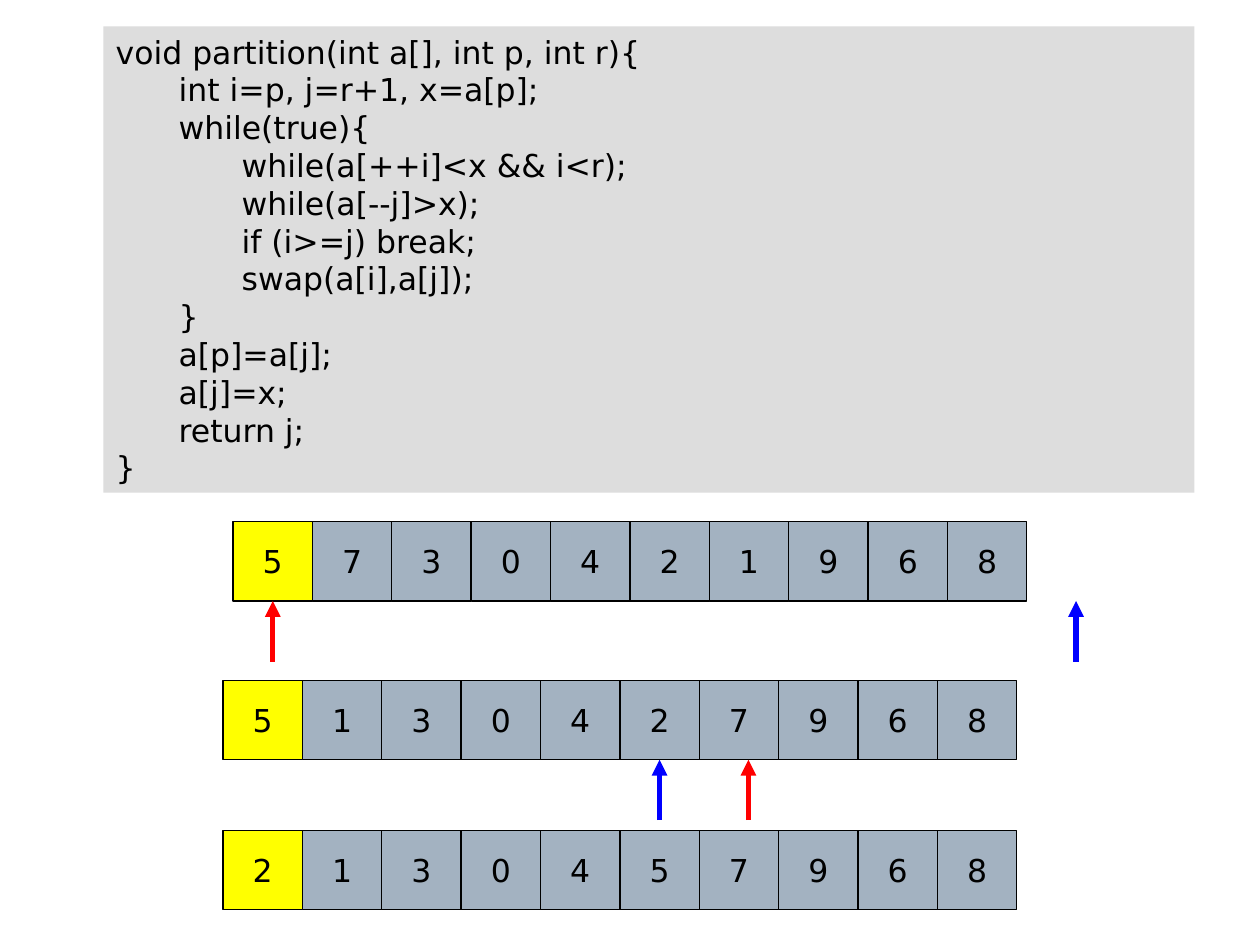
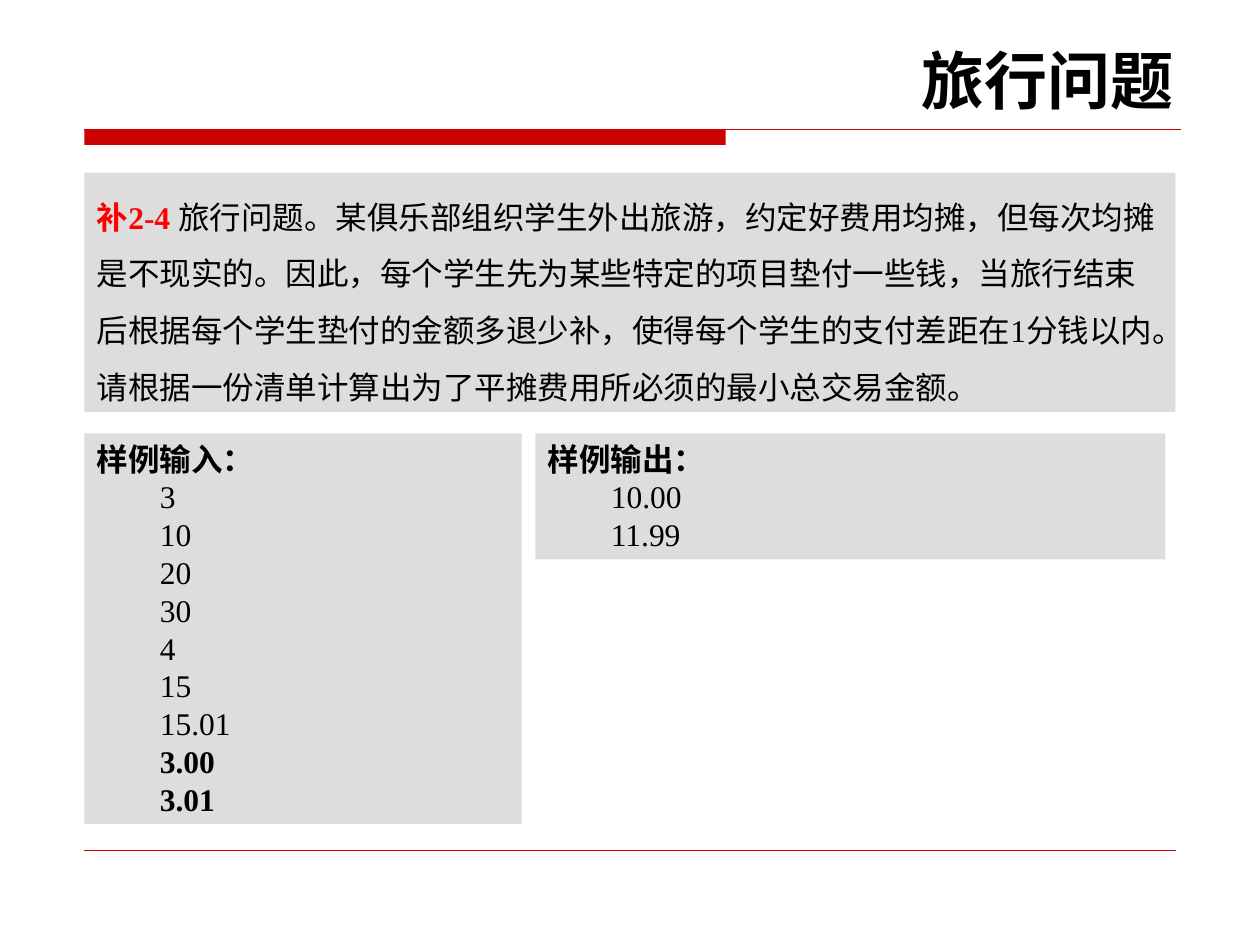
from dataclasses import dataclass

import lxml.etree
import pptx
import pptx.dml.color
import pptx.enum.shapes
import pptx.enum.text
import pptx.oxml.ns
import pptx.util

PX = 9144
SANS = "DejaVu Sans"
SERIF = "Times New Roman"
BLACK = "000000"
GREY = "DDDDDD"
STEEL = "A3B2C1"
GOLD = "FFFF00"
RED = "FF0000"
BLUE = "0000FF"
BRAND = "CC0000"
CELL = 63
REACH = 48
LEFT = 67

SHAPE = pptx.enum.shapes.MSO_SHAPE.RECTANGLE
ALIGN = pptx.enum.text.PP_ALIGN
ANCHOR = pptx.enum.text.MSO_ANCHOR
FIT = pptx.enum.text.MSO_AUTO_SIZE


@dataclass(frozen=True)
class Box:
    left: int
    top: int
    width: int
    height: int


@dataclass(frozen=True)
class Part:
    text: str
    bold: bool = False
    color: str = BLACK


@dataclass(frozen=True)
class Panel:
    box: Box
    lines: list[list[Part]]
    font: str = SERIF
    space: float | None = None


@dataclass(frozen=True)
class Arrow:
    color: str
    cell: int | None = None
    left: int = 0


@dataclass(frozen=True)
class Row:
    left: int
    top: int
    digits: str
    arrows: tuple[Arrow, ...] = ()


CODE = """void partition(int a[], int p, int r){
	int i=p, j=r+1, x=a[p];
	while(true){
		while(a[++i]<x && i<r);
		while(a[--j]>x);
		if (i>=j) break;
		swap(a[i],a[j]);
	}
	a[p]=a[j];
	a[j]=x;
	return j;
}"""

ROWS = [
    Row(185, 414, "5730421968", (Arrow(RED, cell=0), Arrow(BLUE, left=854))),
    Row(177, 540, "5130427968", (Arrow(RED, left=594), Arrow(BLUE, cell=5))),
    Row(177, 659, "2130457968"),
]

TASK = [[
    Part("补2-4 ", True, RED),
    Part("旅行问题。某俱乐部组织学生外出旅游，约定好费用均摊，但每次均摊是不现实的。"
         "因此，每个学生先为某些特定的项目垫付一些钱，当旅行结束后根据每个学生垫付的金额"
         "多退少补，使得每个学生的支付差距在1分钱以内。请根据一份清单计算出为了平摊费用"
         "所必须的最小总交易金额。"),
]]


def list_lines(head: str, plain: str, strong: str = "") -> list[list[Part]]:
    return ([[Part(head, True)]]
            + [[Part("\t" + item)] for item in plain.split()]
            + [[Part("\t" + item, True)] for item in strong.split()])


PANELS = [
    Panel(Box(LEFT, 137, 866, 190), TASK, space=1.5),
    Panel(Box(LEFT, 344, 347, 310),
          list_lines("样例输入：", "3 10 20 30 4 15 15.01", "3.00 3.01")),
    Panel(Box(425, 344, 500, 100), list_lines("样例输出：", "10.00 11.99")),
]


def px(size: int) -> int:
    return pptx.util.Emu(size * PX)


def tint(code: str) -> pptx.dml.color.RGBColor:
    return pptx.dml.color.RGBColor.from_string(code)


def write(para, text: str, *, font: str = SANS, size: int = 18,
          color: str = BLACK, bold: bool = False, align=ALIGN.LEFT) -> None:
    para.alignment = align
    run = para.add_run()
    run.text = text
    run.font.name = font
    run.font.size = pptx.util.Pt(size)
    run.font.bold = bold
    run.font.color.rgb = tint(color)


def add_box(slide, box: Box, fill: str, edge: str | None = None):
    shape = slide.shapes.add_shape(
        SHAPE, px(box.left), px(box.top), px(box.width), px(box.height))
    shape.shadow.inherit = False
    shape.fill.solid()
    shape.fill.fore_color.rgb = tint(fill)
    if edge:
        shape.line.color.rgb = tint(edge)
        shape.line.width = pptx.util.Pt(0.75)
    else:
        shape.line.fill.background()
    return shape


def add_line(slide, start: tuple[int, int], end: tuple[int, int],
             color: str, width: float, head: bool = False):
    line = slide.shapes.add_connector(
        pptx.enum.shapes.MSO_CONNECTOR.STRAIGHT, *start, *end)
    line.line.color.rgb = tint(color)
    line.line.width = pptx.util.Pt(width)
    props = line._element.spPr
    qn = pptx.oxml.ns.qn
    if head:
        lxml.etree.SubElement(props.find(qn("a:ln")), qn("a:tailEnd"), type="triangle")
    lxml.etree.SubElement(props, qn("a:effectLst"))
    return line


def add_panel(slide, panel: Panel) -> None:
    frame = add_box(slide, panel.box, GREY).text_frame
    frame.word_wrap = True
    frame.auto_size = FIT.SHAPE_TO_FIT_TEXT
    frame.vertical_anchor = ANCHOR.TOP
    for place, parts in enumerate(panel.lines):
        para = frame.add_paragraph() if place else frame.paragraphs[0]
        if panel.space:
            para.line_spacing = panel.space
        for part in parts:
            write(para, part.text, font=panel.font, color=part.color, bold=part.bold)


def add_row(slide, row: Row) -> None:
    cells = []
    for place, digit in enumerate(row.digits):
        box = Box(row.left + place * CELL, row.top, CELL, CELL)
        cell = add_box(slide, box, STEEL if place else GOLD, BLACK)
        cell.text_frame.word_wrap = False
        cell.text_frame.vertical_anchor = ANCHOR.MIDDLE
        write(cell.text_frame.paragraphs[0], digit, align=ALIGN.CENTER)
        cells.append(cell)
    base = row.top + CELL
    for arrow in row.arrows:
        goal = None if arrow.cell is None else cells[arrow.cell]
        x = goal.left + goal.width // 2 if goal else px(arrow.left)
        line = add_line(slide, (x, px(base + REACH)), (x, px(base)),
                        arrow.color, 3, head=True)
        if goal:
            line.end_connect(goal, 2)


def add_title(slide, text: str) -> None:
    title = slide.shapes.title
    title.left, title.top = px(51), px(28)
    title.width, title.height = px(890), px(70)
    frame = title.text_frame
    frame.word_wrap = True
    frame.auto_size = FIT.NONE
    frame.vertical_anchor = ANCHOR.TOP
    write(frame.paragraphs[0], text, size=36, bold=True, align=ALIGN.RIGHT)


def add_frame(slide) -> None:
    add_box(slide, Box(LEFT, 103, 509, 12), BRAND)
    for right, top, width in ((937, 103, 0.75), (933, 675, 0.25)):
        add_line(slide, (px(LEFT), px(top)), (px(right), px(top)), BRAND, width)


def draw_sort(deck) -> None:
    slide = deck.slides.add_slide(deck.slide_layouts[6])
    code = [[Part(line)] for line in CODE.splitlines()]
    add_panel(slide, Panel(Box(82, 21, 866, 370), code, font=SANS))
    for row in ROWS:
        add_row(slide, row)


def draw_trip(deck) -> None:
    slide = deck.slides.add_slide(deck.slide_layouts[5])
    add_frame(slide)
    add_title(slide, "旅行问题")
    for panel in PANELS:
        add_panel(slide, panel)


def main() -> None:
    deck = pptx.Presentation()
    deck.slide_width, deck.slide_height = px(1000), px(750)
    draw_sort(deck)
    draw_trip(deck)
    deck.save("out.pptx")


if __name__ == "__main__":
    main()
